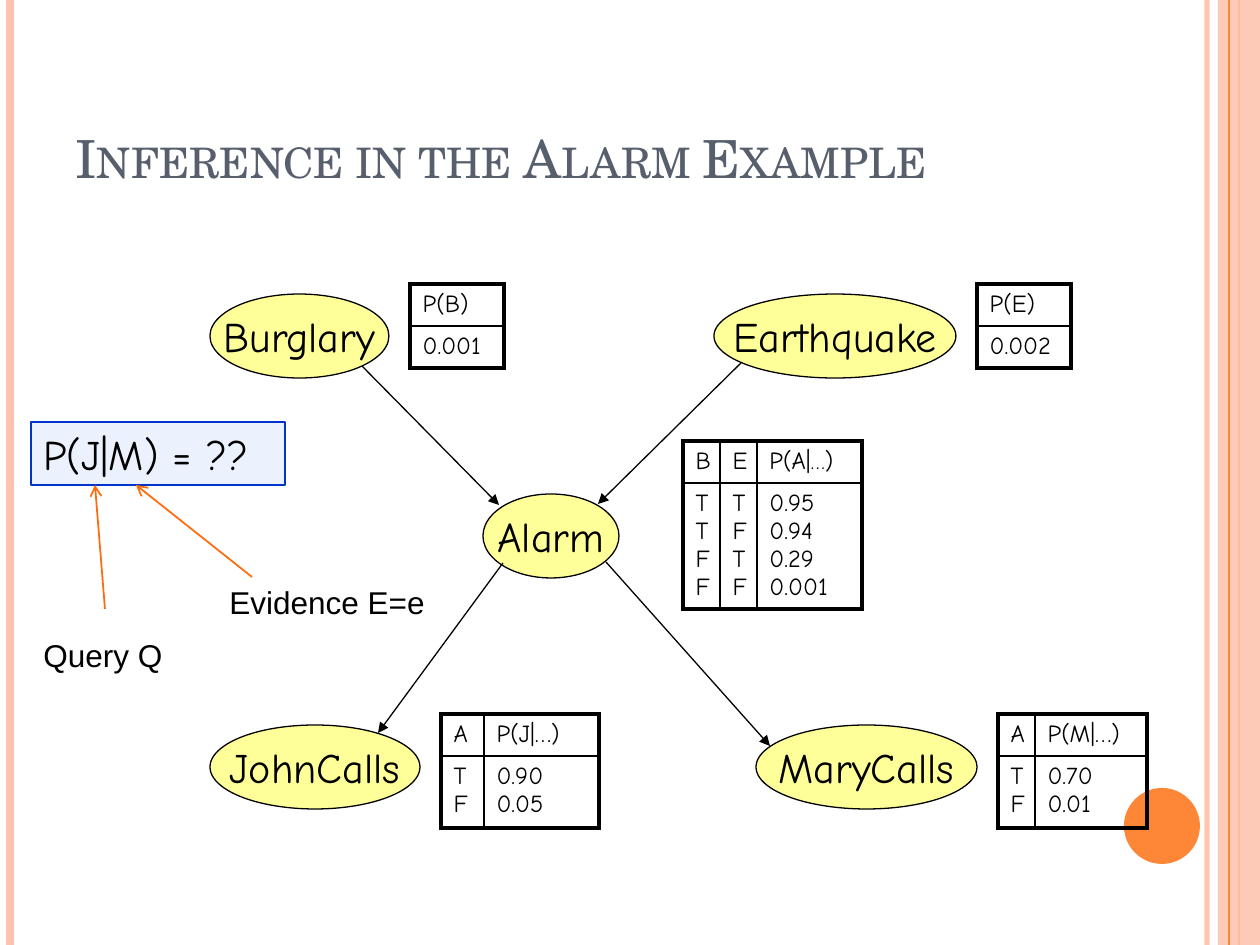
import itertools
from collections import namedtuple

import pptx
import pptx.dml.color
import pptx.enum.shapes
import pptx.enum.text
import pptx.oxml.ns
import pptx.util
from lxml import etree

EMU_PER_PX = 914400 / 126
Box = namedtuple("Box", "left top width height")
Style = namedtuple("Style", "font size color")

THEME = {
    "title": Style("TeX Gyre Schola", 30, "575F6D"),
    "node": Style("Comic Neue", 24, "000000"),
    "cell": Style("Comic Neue", 14, "000000"),
    "cell_small": Style("Comic Neue", 12, "000000"),
    "label": Style("Arial", 18, "000000"),
    "ink": "000000",
    "node_fill": "FFFF99",
    "query_fill": "ECF1FE",
    "query_line": "0033CC",
    "pointer": "FF6B0A",
    "accent": "FE8637",
    "accent_pale": "FEC3AE",
}
SHAPE = pptx.enum.shapes.MSO_SHAPE
ANCHOR = pptx.enum.text.MSO_ANCHOR
ALIGN = pptx.enum.text.PP_ALIGN


def px(length):
    return pptx.util.Emu(round(length * EMU_PER_PX))


def rgb(color):
    return pptx.dml.color.RGBColor.from_string(color)


def within(region, left, top, width, height):
    """Turn a place relative to the region into EMU on the slide."""
    return [px(v) for v in (region.left + left, region.top + top, width, height)]


def add_xml(parent, tag, **attributes):
    return etree.SubElement(parent, pptx.oxml.ns.qn(tag), attributes)


def set_alpha(shape, percent):
    for color in shape._element.spPr.iter(pptx.oxml.ns.qn("a:srgbClr")):
        add_xml(color, "a:alpha", val=str(percent * 1000))


def style_font(font, style):
    font.color.rgb = rgb(style.color)
    formats = {"name": style.font, "size": pptx.util.Pt(style.size), "bold": False}
    for attribute, value in formats.items():
        setattr(font, attribute, value)


def write(frame, text, style, align=ALIGN.LEFT, **formats):
    for attribute, value in {"word_wrap": True, **formats}.items():
        setattr(frame, attribute, value)
    paragraph = frame.paragraphs[0]
    paragraph.alignment = align
    run = paragraph.add_run()
    run.text = text
    style_font(run.font, style)


def add_figure(slide, region, preset, place, fill, line=None):
    figure = slide.shapes.add_shape(preset, *within(region, *place))
    figure.shadow.inherit = False
    figure.fill.solid()
    figure.fill.fore_color.rgb = rgb(fill)
    if line:
        figure.line.color.rgb = rgb(line)
        figure.line.width = pptx.util.Pt(0.75)
    else:
        figure.line.fill.background()
    return figure


def add_line(slide, region, start, end, color, width, head=None):
    ends = [px(v) for x, y in (start, end) for v in (region.left + x, region.top + y)]
    line = slide.shapes.add_connector(pptx.enum.shapes.MSO_CONNECTOR.STRAIGHT, *ends)
    line.line.color.rgb = rgb(color)
    line.line.width = pptx.util.Pt(width)
    if head:
        add_xml(line.line._get_or_add_ln(), "a:tailEnd", type=head)
    add_xml(line._element.spPr, "a:effectLst")
    return line


def add_border(cell, side, width):
    border = add_xml(cell._tc.get_or_add_tcPr(), f"a:ln{side}", w=str(pptx.util.Pt(width)))
    add_xml(add_xml(border, "a:solidFill"), "a:srgbClr", val=THEME["ink"])


def add_probabilities(slide, region, left, top, widths, heights, rows):
    """Table with a thick frame; a tuple as cell text alternates normal and small type."""
    place = within(region, left, top, sum(widths), sum(heights))
    table = slide.shapes.add_table(len(heights), len(widths), *place).table
    table.first_row = table.horz_banding = False
    for column, width in zip(table.columns, widths):
        column.width = px(width)
    for row, height in zip(table.rows, heights):
        row.height = px(height)
    for r, c in itertools.product(range(len(heights)), range(len(widths))):
        cell = table.cell(r, c)
        outer = {"L": c == 0, "R": c == len(widths) - 1,
                 "T": r == 0, "B": r == len(heights) - 1}
        for side, is_outer in outer.items():
            add_border(cell, side, 2.25 if is_outer else 1)
        cell.fill.background()
        pieces = rows[r][c] if isinstance(rows[r][c], tuple) else (rows[r][c],)
        styles = itertools.cycle((THEME["cell"], THEME["cell_small"]))
        paragraph = cell.text_frame.paragraphs[0]
        for piece, style in zip(pieces, styles):
            for number, line in enumerate(piece.split("\n")):
                if number:
                    paragraph.add_line_break()
                run = paragraph.add_run()
                run.text = line
                style_font(run.font, style)


def draw_margins(slide, region):
    """Stripes along both edges and the dot at the lower right."""
    def stripe(x, color, width):
        return add_line(slide, region, (x, 0), (x, region.height), color, width)

    set_alpha(stripe(1207, THEME["accent_pale"], 3), 93)
    stripe(10, THEME["accent_pale"], 4.5)
    stripe(1239, THEME["accent"], 1.5)
    band = add_figure(slide, region, SHAPE.RECTANGLE, (1218, 0, 42, region.height),
                      THEME["accent_pale"])
    set_alpha(band, 87)
    stripe(1229, THEME["accent"], 0.75)
    add_figure(slide, region, SHAPE.OVAL, (1124, 788, 76, 76), THEME["accent"])


def draw_title(slide, region):
    title = slide.shapes.title
    places = within(region, 0, 0, region.width, region.height)
    for attribute, value in zip(region._fields, places):
        setattr(title, attribute, value)
    write(title.text_frame, "Inference in the Alarm Example", THEME["title"],
          vertical_anchor=ANCHOR.BOTTOM, auto_size=pptx.enum.text.MSO_AUTO_SIZE.NONE)
    title.text_frame.paragraphs[0].runs[0].font._element.set("cap", "small")


def draw_network(slide, region):
    nodes = [("Burglary", 0, 11, 179), ("Earthquake", 504, 11, 242), ("Alarm", 273, 211, 136),
             ("MaryCalls", 546, 442, 221), ("JohnCalls", 0, 442, 210)]
    for name, left, top, width in nodes:
        node = add_figure(slide, region, SHAPE.OVAL, (left, top, width, 84),
                          THEME["node_fill"], THEME["ink"])
        write(node.text_frame, name, THEME["node"], ALIGN.CENTER,
              word_wrap=False, vertical_anchor=ANCHOR.MIDDLE)

    edges = [((152, 83), (289, 222)), ((531, 80), (388, 221)),
             ((293, 280), (168, 450)), ((396, 279), (560, 463))]
    for start, end in edges:
        add_line(slide, region, start, end, THEME["ink"], 0.75, "triangle")

    tables = [
        (473, 158, (37, 37, 105), (42, 126),
         [("B", "E", ("P(A|", "…", ")")), ("TTFF", "TFTF", "0.95\n0.94\n0.29\n0.001")]),
        (200, 1, (94,), (42, 42), [("P(B)",), ("0.001",)]),
        (767, 1, (94,), (42, 42), [("P(E)",), ("0.002",)]),
        (231, 431, (43, 115), (42, 72), [("A", "P(J|…)"), ("TF", "0.90\n0.05")]),
        (788, 431, (37, 112), (42, 72), [("A", "P(M|…)"), ("TF", "0.70\n0.01")]),
    ]
    for table in tables:
        add_probabilities(slide, region, *table)


def draw_query(slide, region):
    """Query formula with pointers from the labels below it."""
    formula = add_figure(slide, region, SHAPE.RECTANGLE, (0, 0, region.width, 63),
                         THEME["query_fill"], THEME["query_line"])
    write(formula.text_frame, "P(J|M) = ??", THEME["node"], vertical_anchor=ANCHOR.TOP)
    for start, end in [((74, 187), (64, 63)), ((221, 155), (105, 63))]:
        add_line(slide, region, start, end, THEME["pointer"], 1, "arrow")
    for text, place in [("Query Q", (0, 208, 163, 53)), ("Evidence E=e", (186, 155, 246, 50))]:
        label = slide.shapes.add_textbox(*within(region, *place))
        write(label.text_frame, text, THEME["label"])


def main():
    deck = pptx.Presentation()
    deck.slide_width, deck.slide_height = px(1260), px(945)
    slide = deck.slides.add_slide(deck.slide_layouts[5])
    draw_margins(slide, Box(0, 0, 1260, 945))
    draw_title(slide, Box(63, 38, 1029, 157))
    draw_network(slide, Box(210, 283, 937, 545))
    draw_query(slide, Box(31, 422, 254, 261))
    deck.save("out.pptx")


if __name__ == "__main__":
    main()
